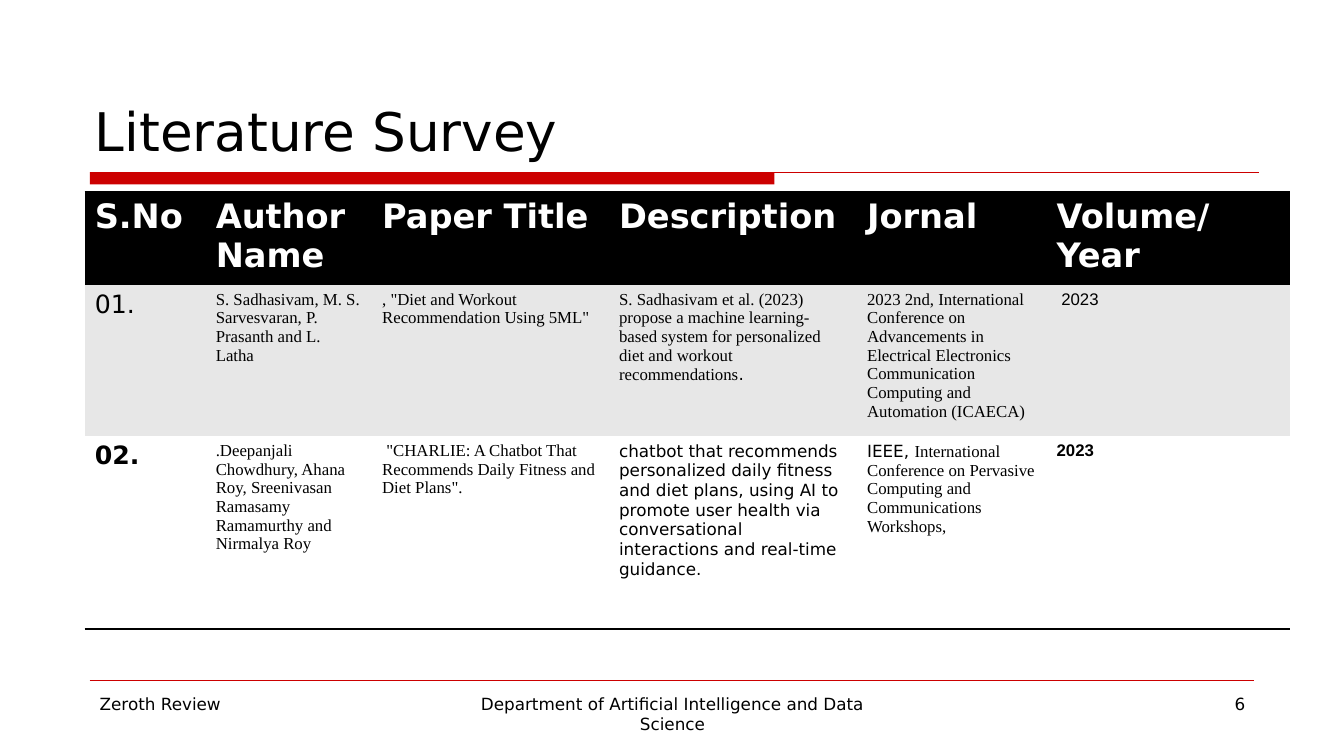
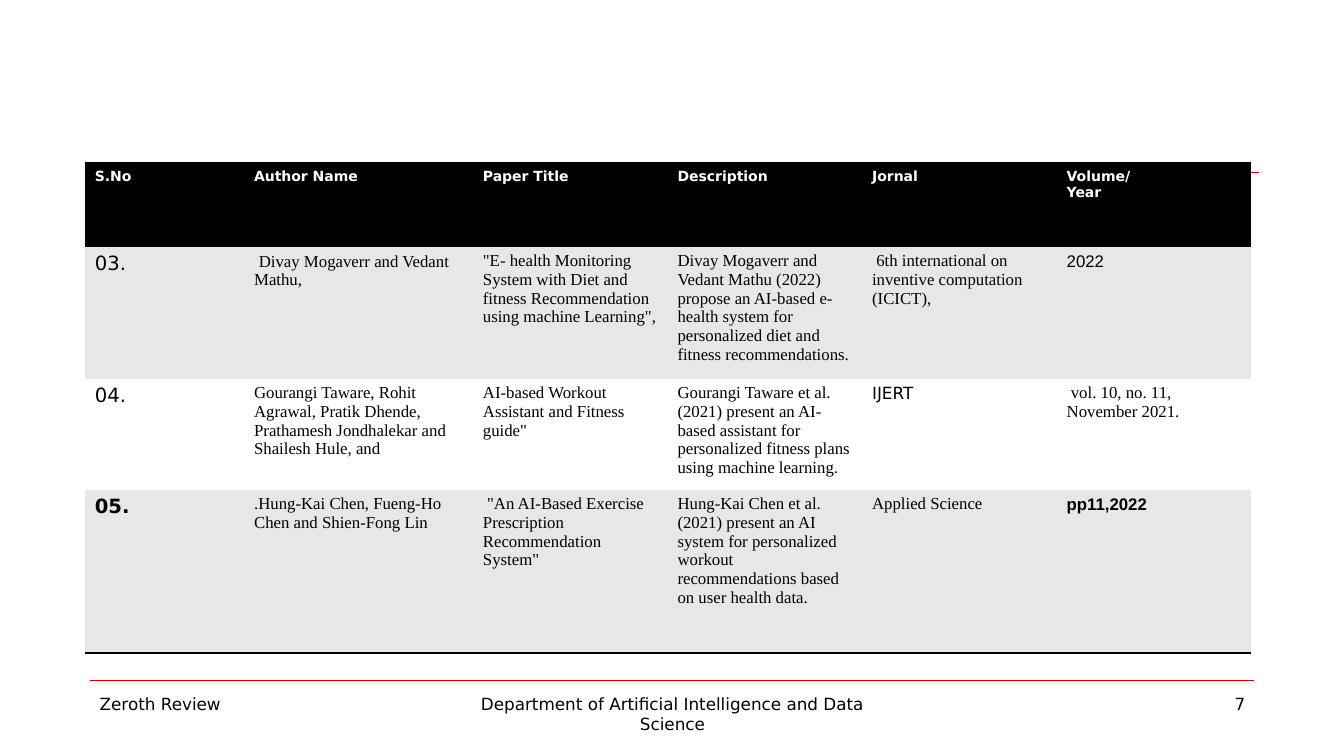
import pptx
import pptx.util
import pptx.dml.color
import pptx.enum.shapes
import pptx.enum.text
import pptx.oxml
import pptx.oxml.ns

PX = 9144
BLACK, WHITE, RED, GREY = "000000", "FFFFFF", "CC0000", "E7E7E7"
SANS, SERIF, ARIAL = "DejaVu Sans", "Times New Roman", "Arial"
LEFT, CENTER, RIGHT = (
    pptx.enum.text.PP_ALIGN.LEFT,
    pptx.enum.text.PP_ALIGN.CENTER,
    pptx.enum.text.PP_ALIGN.RIGHT,
)
PLAIN_TABLE = "{2D5ABB26-0587-4C30-8999-92F81FD0307C}"
HEADINGS = ["S.No", "Author Name", "Paper Title", "Description", "Jornal", "Volume/\nYear"]

SURVEY_1 = [
    [
        "01.",
        "S. Sadhasivam, M. S. Sarvesvaran, P. Prasanth and L. Latha",
        ', "Diet and Workout Recommendation Using 5ML"',
        [
            ("S. Sadhasivam et al. (2023) propose a machine learning-based system for "
             "personalized diet and workout recommendations", SERIF),
            (".", SANS),
        ],
        "2023 2nd, International Conference on Advancements in Electrical Electronics "
        "Communication Computing and Automation (ICAECA)",
        [(" 2023", ARIAL)],
    ],
    [
        "02.",
        ".Deepanjali Chowdhury, Ahana Roy, Sreenivasan Ramasamy Ramamurthy and Nirmalya Roy",
        ' "CHARLIE: A Chatbot That Recommends Daily Fitness and Diet Plans".',
        [("chatbot that recommends personalized daily fitness and diet plans, using AI to "
          "promote user health via conversational interactions and real-time guidance.", SANS)],
        [
            ("IEEE, ", SANS),
            ("International Conference on Pervasive Computing and Communications Workshops,", SERIF),
        ],
        [("2023", ARIAL)],
    ],
]

SURVEY_2 = [
    [
        "03.",
        [(" ", ARIAL), ("Divay Mogaverr and Vedant Mathu,", SERIF)],
        '"E- health Monitoring System with Diet and fitness Recommendation using machine Learning",',
        "Divay Mogaverr and Vedant Mathu (2022) propose an AI-based e-health system for "
        "personalized diet and fitness recommendations.",
        " 6th international on inventive computation (ICICT),",
        [("2022", ARIAL)],
    ],
    [
        "04.",
        "Gourangi Taware, Rohit Agrawal, Pratik Dhende, Prathamesh Jondhalekar and Shailesh Hule, and",
        'AI-based Workout Assistant and Fitness guide"',
        "Gourangi Taware et al. (2021) present an AI-based assistant for personalized fitness "
        "plans using machine learning.",
        [("IJERT", SANS)],
        " vol. 10, no. 11, November 2021.",
    ],
    [
        "05.",
        ".Hung-Kai Chen, Fueng-Ho Chen and Shien-Fong Lin",
        ' "An AI-Based Exercise Prescription Recommendation System"',
        "Hung-Kai Chen et al. (2021) present an AI system for personalized workout "
        "recommendations based on user health data.",
        "Applied Science",
        [("pp11,2022", ARIAL)],
    ],
]


def px(*lengths):
    return [pptx.util.Emu(n * PX) for n in lengths]


def color(value):
    return pptx.dml.color.RGBColor.from_string(value)


def style(font, size, name=None, ink=BLACK, bold=False):
    font.size = pptx.util.Pt(size)
    font.bold = bold
    font.color.rgb = color(ink)
    if name:
        font.name = name


def add_line(s, x, y, width, weight):
    line = s.shapes.add_connector(
        pptx.enum.shapes.MSO_CONNECTOR.STRAIGHT, *px(x, y, x + width, y))
    line.line.color.rgb = color(RED)
    line.line.width = pptx.util.Pt(weight)
    line._element.spPr.append(pptx.oxml.parse_xml(
        f"<a:effectLst {pptx.oxml.ns.nsdecls('a')}/>"))


def add_title_rule(s, x, y):
    band = s.shapes.add_shape(
        pptx.enum.shapes.MSO_SHAPE.RECTANGLE, *px(x, y, 679, 12))
    band.shadow.inherit = False
    band.fill.solid()
    band.fill.fore_color.rgb = color(RED)
    band.line.fill.background()
    add_line(s, x, y, 1160, 0.75)


def add_footer(s, x, y, number):
    add_line(s, x, y, 1155, 0.25)
    parts = [
        ("Zeroth Review", 0, 289, LEFT),
        ("Department of Artificial Intelligence and Data Science", 367, 422, CENTER),
        (str(number), 867, 289, RIGHT),
    ]
    for text, dx, width, align in parts:
        tf = s.shapes.add_textbox(*px(x + dx, y + 8, width, 52)).text_frame
        tf.word_wrap = True
        p = tf.paragraphs[0]
        p.text = text
        p.alignment = align
        style(p.font, 12, SANS)


def set_title(s, text):
    title = s.shapes.title
    title.left, title.top, title.width, title.height = px(84, 33, 1167, 133)
    tf = title.text_frame
    tf.vertical_anchor = pptx.enum.text.MSO_ANCHOR.BOTTOM
    p = tf.paragraphs[0]
    p.text = text
    p.alignment = LEFT
    style(p.font, 38, SANS)


def add_border(cell, side):
    cell._tc.get_or_add_tcPr().insert(0, pptx.oxml.parse_xml(
        f'<a:{side} {pptx.oxml.ns.nsdecls("a")} w="25400"><a:solidFill>'
        f'<a:srgbClr val="{BLACK}"/></a:solidFill></a:{side}>'))


def fill_cell(cell, fill):
    cell.fill.solid()
    cell.fill.fore_color.rgb = color(fill)


def write_heading(cell, text, size):
    fill_cell(cell, BLACK)
    add_border(cell, "lnT")
    cell.text = text
    for p in cell.text_frame.paragraphs:
        style(p.font, size, SANS, WHITE, True)


def write_entry(cell, content, size, font, bold):
    runs = [(content, font)] if isinstance(content, str) else content
    p = cell.text_frame.paragraphs[0]
    for text, name in runs:
        r = p.add_run()
        r.text = text
        if len(runs) > 1:
            r.font.name = name
    style(p.font, size, runs[0][1] if len(runs) == 1 else None, bold=bold)


def add_survey(s, x, y, widths, heights, entries, heading_size, number_size):
    frame = s.shapes.add_table(
        len(heights), len(widths), *px(x, y, sum(widths), sum(heights)))
    table = frame.table
    props = table._tbl.tblPr
    props.find(pptx.oxml.ns.qn("a:tableStyleId")).text = PLAIN_TABLE
    for column, width in zip(table.columns, widths):
        column.width = px(width)[0]
    for row, height in zip(table.rows, heights):
        row.height = px(height)[0]
    for col, text in enumerate(HEADINGS):
        write_heading(table.cell(0, col), text, heading_size)
    last_col = len(widths) - 1
    for row, entry in enumerate(entries, 1):
        last_row = row == len(entries)
        for col, content in enumerate(entry):
            cell = table.cell(row, col)
            fill_cell(cell, GREY if row % 2 else WHITE)
            size, font = (number_size, SANS) if col == 0 else (12, SERIF)
            write_entry(cell, content, size, font, last_row and col in (0, last_col))
            if last_row:
                add_border(cell, "lnB")


def add_survey_slide(prs, number, title, **survey):
    s = prs.slides.add_slide(prs.slide_layouts[5 if title else 6])
    add_title_rule(s, 89, 171)
    add_footer(s, 89, 675, number)
    if title:
        set_title(s, title)
    add_survey(s, 84, **survey)


def main():
    prs = pptx.Presentation()
    prs.slide_width, prs.slide_height = px(1333, 750)
    add_survey_slide(
        prs, 6, "Literature Survey", y=191, widths=[120, 165, 235, 246, 188, 241],
        heights=[92, 149, 191], entries=SURVEY_1, heading_size=24, number_size=18)
    add_survey_slide(
        prs, 7, None, y=162, widths=[158, 227, 193, 193, 193, 193],
        heights=[83, 131, 106, 162], entries=SURVEY_2, heading_size=10, number_size=14)
    prs.save("out.pptx")


if __name__ == "__main__":
    main()
